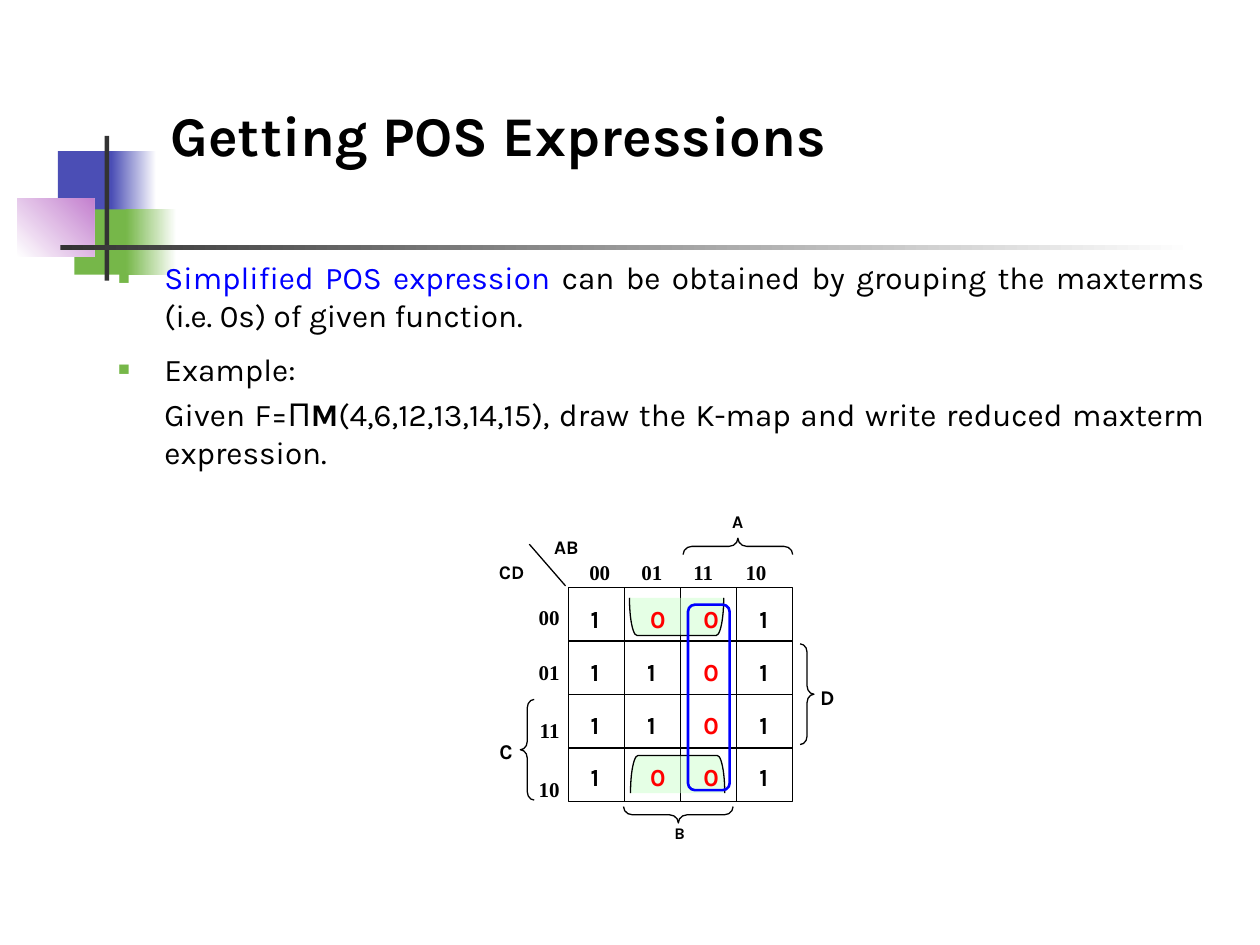
from lxml.etree import SubElement
from pptx import Presentation
from pptx.dml.color import RGBColor
from pptx.enum.shapes import MSO_CONNECTOR, MSO_SHAPE
from pptx.enum.text import MSO_ANCHOR, MSO_AUTO_SIZE, PP_ALIGN
from pptx.oxml.ns import qn
from pptx.util import Cm, Pt

BLACK = RGBColor(0x00, 0x00, 0x00)
WHITE = RGBColor(0xFF, 0xFF, 0xFF)
GRAY = RGBColor(0x33, 0x33, 0x33)
INDIGO = RGBColor(0x4B, 0x4E, 0xB5)
GREEN = RGBColor(0x76, 0xB7, 0x49)
VIOLET = RGBColor(0xC4, 0x81, 0xCF)
BLUE = RGBColor(0x00, 0x00, 0xFF)
RED = RGBColor(0xFF, 0x00, 0x00)
MINT = RGBColor(0xCC, 0xFF, 0xCC)

# Karnaugh map grid, in centimetres
MAP_LEFT, MAP_TOP = 11.46, 11.84
CELL_WIDTH, CELL_HEIGHT = 1.13, 1.08
MAP_WIDTH, MAP_HEIGHT = 4 * CELL_WIDTH, 4 * CELL_HEIGHT
MAP_VALUES = ("1001", "1101", "1101", "1001")
DIGIT_LEFTS = (11.43, 12.57, 13.77, 14.83)


def add_span(para, text, size=12, font="Karla", color=BLACK, bold=False):
    span = para.add_run()
    span.text = text
    span.font.size = Pt(size)
    span.font.name = font
    span.font.bold = bold
    span.font.color.rgb = color


def add_label(page, text, left, top, width, height, align=PP_ALIGN.CENTER,
              gaps=(), tab_step=None, **style):
    """Text box with one paragraph per line; gaps are points before later lines."""
    box = page.shapes.add_textbox(Cm(left), Cm(top), Cm(width), Cm(height))
    frame = box.text_frame
    frame.word_wrap = True
    for index, line in enumerate(text.split("\n")):
        para = frame.add_paragraph() if index else frame.paragraphs[0]
        para.alignment = align
        if index:
            para.space_before = Pt(gaps[index - 1])
        if tab_step:
            tabs = SubElement(para._p.get_or_add_pPr(), qn("a:tabLst"))
            for stop in range(1, line.count("\t") + 1):
                SubElement(tabs, qn("a:tab"), pos=str(Cm(stop * tab_step)), algn="l")
        # Tabs inside a run become tab characters
        add_span(para, line, bold=True, **style)


def add_outline(page, kind, left, top, width, height, rotation=0, corner=None,
                fill=None, color=BLACK, weight=0.75):
    shape = page.shapes.add_shape(kind, Cm(left), Cm(top), Cm(width), Cm(height))
    shape.shadow.inherit = False
    shape.rotation = rotation
    if corner:
        shape.adjustments[0] = corner
    if fill:
        shape.fill.solid()
        shape.fill.fore_color.rgb = fill
        tint = shape.fill._xPr.find(".//" + qn("a:srgbClr"))
        SubElement(tint, qn("a:alpha"), val="50000")
    else:
        shape.fill.background()
    shape.line.color.rgb = color
    shape.line.width = Pt(weight)


def add_line(page, start_x, start_y, end_x, end_y):
    line = page.shapes.add_connector(MSO_CONNECTOR.STRAIGHT, Cm(start_x),
                                     Cm(start_y), Cm(end_x), Cm(end_y))
    line.line.color.rgb = BLACK
    line.line.width = Pt(0.75)
    SubElement(line._element.spPr, qn("a:effectLst"))


def add_block(page, left, top, width, height, color, fade_to=None, angle=0):
    block = page.shapes.add_shape(MSO_SHAPE.RECTANGLE, Cm(left), Cm(top),
                                  Cm(width), Cm(height))
    block.shadow.inherit = False
    block.line.fill.background()
    if fade_to is None:
        block.fill.solid()
        block.fill.fore_color.rgb = color
    else:
        block.fill.gradient()
        block.fill.gradient_angle = angle
        for stop, shade in zip(block.fill.gradient_stops, (color, fade_to)):
            stop.color.rgb = shade


def draw_decoration(page):
    add_block(page, 1.17, 3.05, 1.22, 1.32, INDIGO)
    add_block(page, 2.24, 3.05, 0.91, 1.32, INDIGO, fade_to=WHITE)
    add_block(page, 1.5, 4.22, 1.17, 1.32, GREEN)
    add_block(page, 2.54, 4.22, 1.02, 1.32, GREEN, fade_to=WHITE)
    add_block(page, 0.35, 4.01, 1.55, 1.17, WHITE, fade_to=VIOLET, angle=45)
    add_block(page, 2.11, 2.74, 0.09, 2.92, GRAY)
    add_block(page, 1.22, 4.94, 22.86, 0.1, GRAY, fade_to=WHITE)


def place_placeholder(page, holder, left, top, width, height, anchor):
    holder.left, holder.top = Cm(left), Cm(top)
    holder.width, holder.height = Cm(width), Cm(height)
    page.shapes.element.append(holder.element)  # in front of the decoration
    frame = holder.text_frame
    frame.auto_size = MSO_AUTO_SIZE.NONE
    frame.vertical_anchor = anchor
    return frame


def format_item(para, bullet, space_before):
    para.alignment = PP_ALIGN.JUSTIFY
    para.space_before = Pt(space_before)
    props = para._p.get_or_add_pPr()
    props.set("marL", str(Cm(0.95)))
    props.set("indent", str(Cm(-0.95) if bullet else 0))
    if bullet:
        SubElement(SubElement(props, qn("a:buClr")), qn("a:srgbClr"), val=str(GREEN))
        SubElement(props, qn("a:buSzPct"), val="120000")
        SubElement(props, qn("a:buChar"), char="▪")
    else:
        SubElement(props, qn("a:buNone"))


def write_title_and_body(page):
    frame = place_placeholder(page, page.shapes.title, 3.18, 1.27, 21.59, 2.24,
                              MSO_ANCHOR.BOTTOM)
    frame.paragraphs[0].alignment = PP_ALIGN.LEFT
    add_span(frame.paragraphs[0], "Getting POS Expressions", size=32, bold=True)

    frame = place_placeholder(page, page.placeholders[1], 2.11, 5.08, 22.43, 4.65,
                              MSO_ANCHOR.TOP)
    items = (
        (True, 0, (("Simplified POS expression", {"color": BLUE}),
                   (" can be obtained by grouping the maxterms (i.e. 0s) "
                    "of given function.", {}))),
        (True, 9, (("Example:", {}),)),
        (False, 4.5, (("Given F=Π", {}), ("M", {"bold": True}),
                      ("(4,6,12,13,14,15), draw the K-map and write reduced "
                       "maxterm expression.", {}))),
    )
    for index, (bullet, space_before, spans) in enumerate(items):
        para = frame.add_paragraph() if index else frame.paragraphs[0]
        format_item(para, bullet, space_before)
        for text, style in spans:
            add_span(para, text, size=18, **style)


def draw_grid(page):
    right, bottom = MAP_LEFT + MAP_WIDTH, MAP_TOP + MAP_HEIGHT
    add_outline(page, MSO_SHAPE.RECTANGLE, MAP_LEFT, MAP_TOP, MAP_WIDTH, MAP_HEIGHT)
    for index in range(1, 4):
        x = MAP_LEFT + index * CELL_WIDTH
        y = MAP_TOP + index * CELL_HEIGHT
        add_line(page, x, MAP_TOP, x, bottom)
        add_line(page, MAP_LEFT, y, right, y)
    add_line(page, 11.4, 11.81, 10.67, 10.97)


def draw_groups_and_values(page):
    # Open brackets: the pair of zeros that wraps from top to bottom
    for left, top, rotation in ((13.26, 11.48, 270), (13.28, 14.66, 90)):
        add_outline(page, MSO_SHAPE.LEFT_BRACKET, left, top, 0.76, 1.9,
                    rotation=rotation, corner=0.2, fill=MINT)
    for row, values in enumerate(MAP_VALUES):
        for column, value in enumerate(values):
            shift = 0.13 if column == 1 and value == "0" else 0
            add_label(page, value, DIGIT_LEFTS[column] + shift, 12.06 + row * 1.06,
                      1.13, 0.86, size=14, color=RED if value == "0" else BLACK)
    # Loop round the column of zeros
    add_outline(page, MSO_SHAPE.ROUNDED_RECTANGLE, 13.87, 12.19, 0.84, 3.74,
                color=BLUE, weight=1.5)


def draw_variables(page):
    # Braces A, B, C and D
    add_outline(page, MSO_SHAPE.LEFT_BRACE, 14.71, 9.91, 0.33, 2.21, 90, 0.54)
    add_outline(page, MSO_SHAPE.LEFT_BRACE, 13.51, 15.32, 0.33, 2.21, 270, 0.54)
    add_outline(page, MSO_SHAPE.LEFT_BRACE, 10.49, 14.1, 0.28, 2.03, 0, 0.6)
    add_outline(page, MSO_SHAPE.RIGHT_BRACE, 16.13, 12.98, 0.28, 2.03, 0, 0.6)
    for text, left, top, width, height, size in (
            ("A", 14.45, 10.16, 0.84, 0.69, 10.2),
            ("B", 13.28, 16.48, 0.84, 0.66, 9.3),
            ("C", 9.78, 14.76, 0.84, 0.86, 12),
            ("D", 16.26, 13.67, 0.84, 0.86, 12),
            ("AB", 10.77, 10.67, 1.3, 0.74, 11),
            ("CD", 9.53, 11.18, 1.57, 0.74, 11)):
        add_label(page, text, left, top, width, height, size=size)
    # Column and row codes
    add_label(page, "00\t01\t11\t10", 11.63, 11.15, 4.22, 0.86,
              align=PP_ALIGN.LEFT, tab_step=1.05, font="Times New Roman")
    add_label(page, "00\n01\n11\n10", 10.54, 12.06, 0.99, 4.47,
              align=PP_ALIGN.RIGHT, gaps=(17, 19, 19), font="Times New Roman")


def main():
    deck = Presentation()
    deck.slide_width, deck.slide_height = Cm(25.4), Cm(19.05)
    page = deck.slides.add_slide(deck.slide_layouts[1])
    draw_decoration(page)
    write_title_and_body(page)
    draw_grid(page)
    draw_groups_and_values(page)
    draw_variables(page)
    deck.save("out.pptx")


if __name__ == "__main__":
    main()
